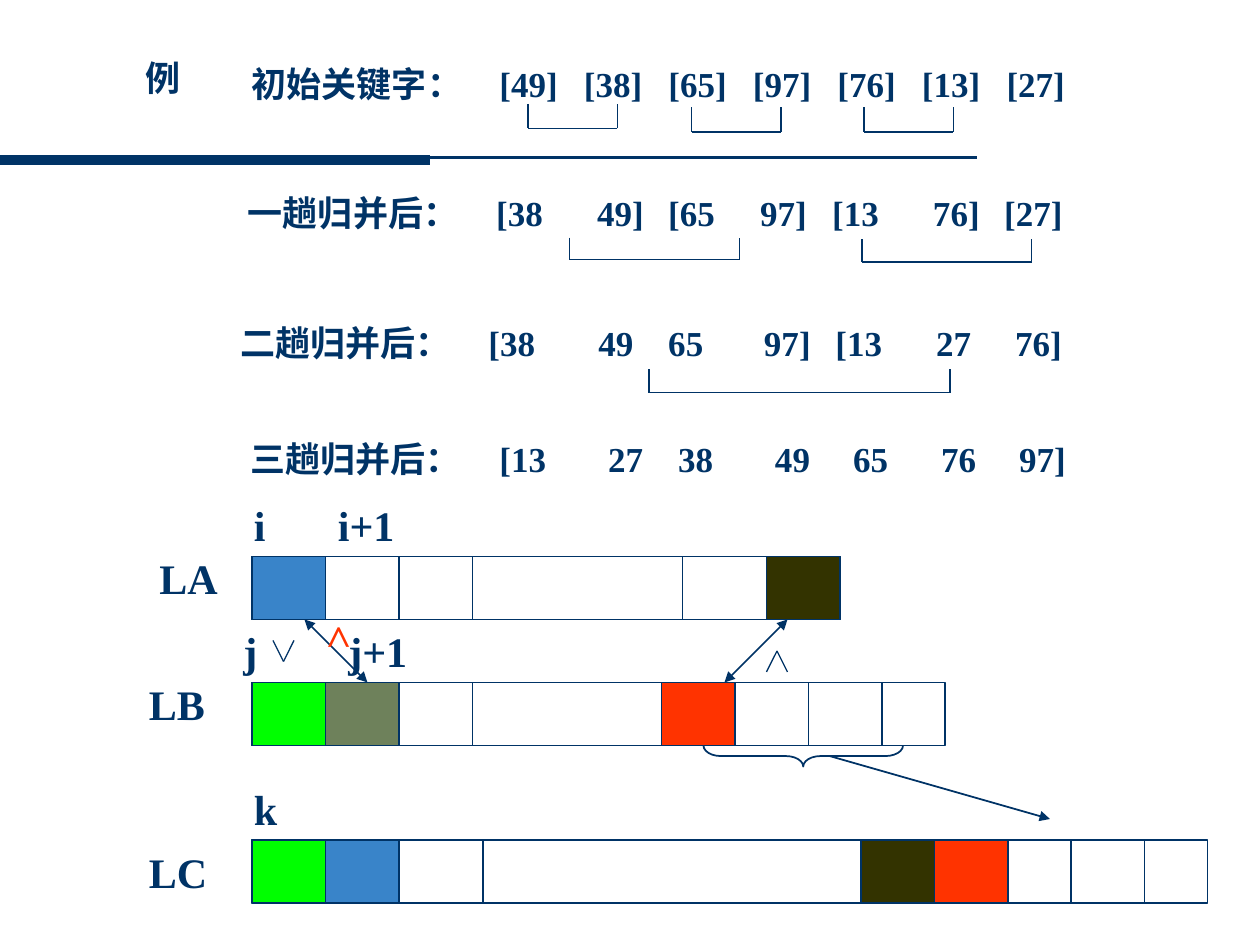
from dataclasses import dataclass
from itertools import pairwise

from lxml import etree
from pptx import Presentation
from pptx.dml.color import RGBColor
from pptx.enum import shapes, text
from pptx.oxml import ns
from pptx.util import Pt


@dataclass(frozen=True)
class Theme:
    font: str = "Times New Roman"
    navy: str = "003366"
    blue: str = "3984C9"
    green: str = "00FF00"
    olive: str = "6E815B"
    red: str = "FF3300"
    dark: str = "333300"
    row_size: int = 20
    mark_size: int = 24
    thin: float = 0.75
    medium: float = 1


THEME = Theme()
INSET_X, INSET_Y = 7.2, 3.6


def color(value):
    return RGBColor.from_string(value)


def add_line(page, start, end, width, arrows=()):
    """Arrows holds "headEnd" and/or "tailEnd"."""
    line = page.shapes.add_connector(
        shapes.MSO_CONNECTOR.STRAIGHT, *(Pt(v) for v in (*start, *end)))
    line.line.color.rgb = color(THEME.navy)
    line.line.width = Pt(width)
    for name in arrows:
        etree.SubElement(line.line._get_or_add_ln(), ns.qn(f"a:{name}"), type="triangle")
    etree.SubElement(line._element.spPr, ns.qn("a:effectLst"))


def add_trace(page, points):
    for start, end in pairwise(points):
        add_line(page, start, end, THEME.thin)


def add_text(page, box, words, size, ink=THEME.navy, tabs=(), turn=0):
    label = page.shapes.add_textbox(*(Pt(v) for v in box))
    label.rotation = turn
    frame = label.text_frame
    frame.word_wrap = True
    frame.vertical_anchor = text.MSO_ANCHOR.TOP
    frame.margin_left = frame.margin_right = Pt(INSET_X)
    frame.margin_top = frame.margin_bottom = Pt(INSET_Y)
    frame.text = words
    para = frame.paragraphs[0]
    if tabs:
        stops = etree.SubElement(para._p.get_or_add_pPr(), ns.qn("a:tabLst"))
        for stop in tabs:
            etree.SubElement(stops, ns.qn("a:tab"), pos=str(int(Pt(stop))), algn="l")
    for span in para.runs:
        span.font.name = THEME.font
        span.font.size = Pt(size)
        span.font.bold = True
        span.font.color.rgb = color(ink)


def add_outline(page, kind, box, fill=None):
    shape = page.shapes.add_shape(kind, *(Pt(v) for v in box))
    shape.shadow.inherit = False
    if fill:
        shape.fill.solid()
        shape.fill.fore_color.rgb = color(fill)
    else:
        shape.fill.background()
    shape.line.color.rgb = color(THEME.navy)
    shape.line.width = Pt(THEME.medium)
    return shape


def add_rule(page, box):
    """Thin rule across the box, with a heavy bar over its first part."""
    left, top, width, height = box
    add_line(page, (left, top), (left + width, top), 1.5)
    add_line(page, (left, top + height), (left + 246, top + height), 6)


def add_merge_row(page, box, label, keys, columns, brackets):
    """Label and keys on tab stops; brackets are (left, top, right, bottom) from the box."""
    left, top = box[:2]
    tabs = [column - left - INSET_X for column in columns]
    add_text(page, box, "\t".join([label, *keys.split()]), THEME.row_size, tabs=tabs)
    for x1, y1, x2, y2 in brackets:
        x1, x2, y1, y2 = left + x1, left + x2, top + y1, top + y2
        add_trace(page, [(x1, y1), (x1, y2), (x2, y2), (x2, y1)])


def add_array(page, box, name, name_shift, indexes, edges, fills):
    """Name and indexes sit at shifts from the box; edges are inner dividers."""
    left, top, width, height = box
    add_outline(page, shapes.MSO_SHAPE.RECTANGLE, box)
    for edge in edges:
        add_line(page, (left + edge, top), (left + edge, top + height), THEME.medium)
    bounds = [0, *edges, width]
    for cell, fill in fills.items():
        start, end = bounds[cell:cell + 2]
        add_outline(page, shapes.MSO_SHAPE.RECTANGLE,
                    (left + start, top, end - start, height), fill)
    labels = [(name, *name_shift), *((index, shift, -36) for index, shift in indexes)]
    for words, dx, dy in labels:
        add_text(page, (left + dx, top + dy, 54, 36), words, THEME.mark_size)


def add_comparisons(page, box):
    """Arrows and order signs between LA and LB, and the rest of LB going to LC."""
    left, top, width, height = box
    both = ("headEnd", "tailEnd")
    add_line(page, (left + 306, top), (left + 270, top + height), THEME.medium, both)
    add_line(page, (left + 66, top + height), (left + 30, top), THEME.medium, both)
    add_text(page, (left + 33, top - 9, 30, 36), ">", THEME.mark_size, THEME.red, turn=270)
    for x, outer, tip in ((18, 12, 24), (300, 30, 18)):
        add_trace(page, [(left + x + dx, top + y)
                         for dx, y in ((-6, outer), (0, tip), (6, outer))])
    brace = add_outline(page, shapes.MSO_SHAPE.LEFT_BRACE,
                        (left + 309, top + 21, 12, 114))
    brace.adjustments[0] = 0.83
    brace.rotation = 270
    add_line(page, (left + 330, top + 78), (left + 456, top + 114), THEME.medium, ("tailEnd",))


def build(page):
    add_rule(page, (0, 90, 558, 1.5))
    add_text(page, (76.3, 28.8, 36, 31.7), "例", THEME.row_size)
    merge_rows = [
        ((136.8, 32.4), "初始关键字：", "[49] [38] [65] [97] [76] [13] [27]",
         [285.5 + 48.3 * i for i in range(7)],
         [(165, 27, 216, 41), (258.5, 29, 309.5, 43), (357, 29, 408, 43)]),
        ((134.6, 105.8), "一趟归并后：", "[38 49] [65 97] [13 76] [27]",
         [283.7, 341.3, 382, 434.5, 475.7, 533.3, 574],
         [(190.8, 30, 288, 42.5), (358, 31, 455, 44)]),
        ((130.3, 180), "二趟归并后：", "[38 49 65 97] [13 27 76]",
         [279.2, 342, 382, 436.7, 477.5, 535, 580.2],
         [(240.5, 31, 412.6, 44.5)]),
        ((136.1, 246.2), "三趟归并后：", "[13 27 38 49 65 76 97]",
         [285.5, 347.6, 387.6, 443, 487.6, 538, 582.5], []),
    ]
    for (left, top), label, keys, columns, brackets in merge_rows:
        add_merge_row(page, (left, top, 490, 31.7), label, keys, columns, brackets)

    t = THEME
    arrays = [
        (318, 336, "LA", (-60, -6), [("i", -6), ("i+1", 42)],
         [42, 84, 126, 246, 294], {0: t.blue, 5: t.dark}),
        (390, 396, "LB", (-66, -6), [("j", -12), ("j+1", 48)],
         [42, 84, 126, 234, 276, 318, 360], {0: t.green, 1: t.olive, 4: t.red}),
        (480, 546, "LC", (-66, 0), [("k", -6)],
         [42, 84, 132, 348, 390, 432, 468, 510],
         {0: t.green, 1: t.blue, 4: t.dark, 5: t.red}),
    ]
    for top, width, *parts in arrays:
        add_array(page, (144, top, width, 36), *parts)
    add_comparisons(page, (144, 354, 396, 36))


def main():
    deck = Presentation()
    deck.slide_width, deck.slide_height = Pt(720), Pt(540)
    build(deck.slides.add_slide(deck.slide_layouts[6]))
    deck.save("out.pptx")


if __name__ == "__main__":
    main()
